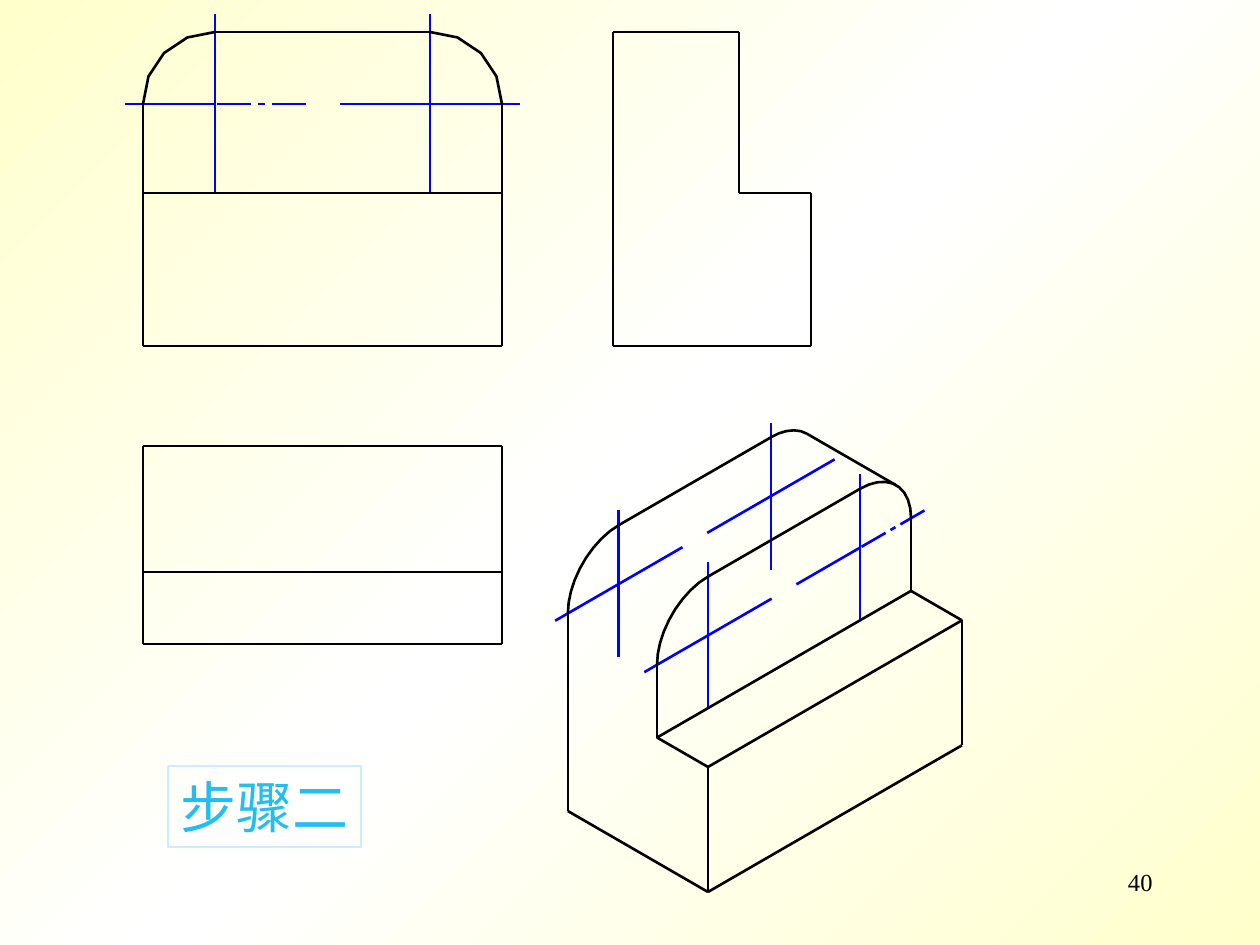
from copy import deepcopy
from math import cos, radians, sin

from lxml.etree import SubElement
from pptx import Presentation
from pptx.dml.color import RGBColor
from pptx.enum.shapes import MSO_CONNECTOR, MSO_SHAPE
from pptx.enum.text import MSO_ANCHOR, MSO_AUTO_SIZE, PP_ALIGN
from pptx.oxml.ns import qn
from pptx.util import Pt

PX = 914400 // 126
FONT = "Times New Roman"
BLACK, BLUE = "000000", "0000FF"
BACKGROUND = [(0, "FFFFCC"), (0.5, "FFFFFF"), (1, "FFFFCC")]

# The part: an L-shaped block whose upright plate has two rounded corners (px)
WIDTH, HEIGHT, DEPTH = 359, 314, 198
STEP_HEIGHT, STEP_DEPTH, RADIUS = 153, 72, 72
LEFT, RIGHT, AXIS = RADIUS, WIDTH - RADIUS, HEIGHT - RADIUS

# Centre lines: solid arm, or long dash, dot and long dash
SOLID = [(0, 90)]
DASH_DOT = [(2, 36), (43, 50), (57, 91)]
NO_ARM = []

ISO_SCALE = 0.817


def front_view(x, y, z):
    return 143 + x, 346 - z


def side_view(x, y, z):
    return 811 - y, 346 - z


def top_view(x, y, z):
    return 143 + x, 644 - y


def isometric(x, y, z):
    return (708 + (x - y) * cos(radians(30)) * ISO_SCALE,
            892 - ((x + y) * sin(radians(30)) + z) * ISO_SCALE)


# view, depth of the face, centre x, left arm, right arm
CENTRE_LINES = [
    (isometric, STEP_DEPTH, LEFT, SOLID, SOLID),
    (isometric, STEP_DEPTH, RIGHT, SOLID, DASH_DOT),
    (isometric, DEPTH, RIGHT, SOLID, SOLID),
    (isometric, DEPTH, LEFT, SOLID, SOLID),
    (front_view, 0, LEFT, SOLID, DASH_DOT),
    (front_view, 0, RIGHT, SOLID, SOLID),
]

# view, then chains of (x, y, z) corners joined by straight edges
S, T = STEP_HEIGHT, STEP_DEPTH
EDGES = [
    (front_view, [
        [(0, 0, AXIS), (0, 0, 0), (WIDTH, 0, 0), (WIDTH, 0, AXIS)],
        [(0, 0, S), (WIDTH, 0, S)],
        [(LEFT, 0, HEIGHT), (RIGHT, 0, HEIGHT)],
    ]),
    (top_view, [
        [(0, 0, 0), (WIDTH, 0, 0), (WIDTH, DEPTH, 0), (0, DEPTH, 0), (0, 0, 0)],
        [(0, T, 0), (WIDTH, T, 0)],
    ]),
    (side_view, [
        [(0, 0, 0), (0, 0, S), (0, T, S), (0, T, HEIGHT),
         (0, DEPTH, HEIGHT), (0, DEPTH, 0), (0, 0, 0)],
    ]),
    (isometric, [
        [(0, DEPTH, AXIS), (0, DEPTH, 0), (0, 0, 0), (WIDTH, 0, 0),
         (WIDTH, 0, S), (WIDTH, T, S), (WIDTH, T, AXIS)],
        [(0, 0, 0), (0, 0, S), (WIDTH, 0, S)],
        [(0, 0, S), (0, T, S), (WIDTH, T, S)],
        [(0, T, S), (0, T, AXIS)],
        [(LEFT, T, HEIGHT), (RIGHT, T, HEIGHT)],
        [(LEFT, DEPTH, HEIGHT), (RIGHT, DEPTH, HEIGHT)],
        # silhouette edge, touching both right-hand arcs at 45 degrees
        [(RIGHT + RADIUS * cos(radians(45)), y, AXIS + RADIUS * sin(radians(45)))
         for y in (T, DEPTH)],
    ]),
]

# view, depth of the face, centre x, first and last angle, segments
ARCS = [
    (front_view, 0, LEFT, 90, 180, 4),
    (front_view, 0, RIGHT, 0, 90, 4),
    (isometric, STEP_DEPTH, LEFT, 90, 180, 9),
    (isometric, DEPTH, LEFT, 90, 180, 9),
    (isometric, DEPTH, RIGHT, 45, 90, 5),
    (isometric, STEP_DEPTH, RIGHT, 0, 90, 9),
]

# words, box, size, colour, alignment, border
LABELS = [
    ("40", (903, 861, 262, 63), 14, BLACK, PP_ALIGN.RIGHT, None),
    ("步骤二", (168, 766, 193, 81), 32, "23BEEF", PP_ALIGN.CENTER, "CCECFF"),
]


def rgb(value):
    return RGBColor.from_string(value)


def emu(*lengths):
    return [round(length * PX) for length in lengths]


def paint_background(slide):
    fill = slide.background.fill
    fill.gradient()
    fill.gradient_angle = 315
    stop_list = slide.element.find(".//" + qn("a:gsLst"))
    stop_list.insert(1, deepcopy(stop_list[0]))
    for stop, (position, colour) in zip(fill.gradient_stops, BACKGROUND):
        stop.position = position
        stop.color.rgb = rgb(colour)


def draw_line(slide, start, end, colour):
    line = slide.shapes.add_connector(MSO_CONNECTOR.STRAIGHT, *emu(*start, *end))
    line.line.color.rgb = rgb(colour)
    line.line.width = Pt(1.5)
    SubElement(line.element.spPr, qn("a:effectLst"))


def draw_centre_lines(slide, view, depth, centre, left_arm, right_arm):
    for z in (AXIS - 90, AXIS + 90):
        draw_line(slide, view(centre, depth, AXIS), view(centre, depth, z), BLUE)
    for side, arm in ((-1, left_arm), (1, right_arm)):
        for near, far in arm:
            draw_line(slide, view(centre + side * near, depth, AXIS),
                      view(centre + side * far, depth, AXIS), BLUE)


def draw_arc(slide, view, depth, centre, first, last, segments):
    angles = [radians(first + (last - first) * i / segments)
              for i in range(segments + 1)]
    points = [emu(*view(centre + RADIUS * cos(a), depth, AXIS + RADIUS * sin(a)))
              for a in angles]
    builder = slide.shapes.build_freeform(*points[0])
    builder.add_line_segments(points[1:], close=False)
    arc = builder.convert_to_shape()
    arc.shadow.inherit = False
    arc.fill.background()
    arc.line.color.rgb = rgb(BLACK)
    arc.line.width = Pt(1.5)


def add_label(slide, words, box, size, colour, alignment, border):
    if border:
        label = slide.shapes.add_shape(MSO_SHAPE.RECTANGLE, *emu(*box))
        label.shadow.inherit = False
        label.fill.background()
        label.line.color.rgb = rgb(border)
        label.line.width = Pt(0)
    else:
        label = slide.shapes.add_textbox(*emu(*box))
    frame = label.text_frame
    frame.word_wrap = not border
    frame.auto_size = MSO_AUTO_SIZE.SHAPE_TO_FIT_TEXT if border else MSO_AUTO_SIZE.NONE
    frame.vertical_anchor = MSO_ANCHOR.TOP
    paragraph = frame.paragraphs[0]
    paragraph.alignment = alignment
    run = paragraph.add_run()
    run.text = words
    for attribute, value in {"name": FONT, "size": Pt(size)}.items():
        setattr(run.font, attribute, value)
    run.font.color.rgb = rgb(colour)


def main():
    deck = Presentation()
    deck.slide_width, deck.slide_height = emu(1260, 945)
    slide = deck.slides.add_slide(deck.slide_layouts[6])
    paint_background(slide)
    for centre_line in CENTRE_LINES:
        draw_centre_lines(slide, *centre_line)
    for view, chains in EDGES:
        for chain in chains:
            for start, end in zip(chain, chain[1:]):
                draw_line(slide, view(*start), view(*end), BLACK)
    for arc in ARCS:
        draw_arc(slide, *arc)
    for label in LABELS:
        add_label(slide, *label)
    deck.save("out.pptx")


if __name__ == "__main__":
    main()
